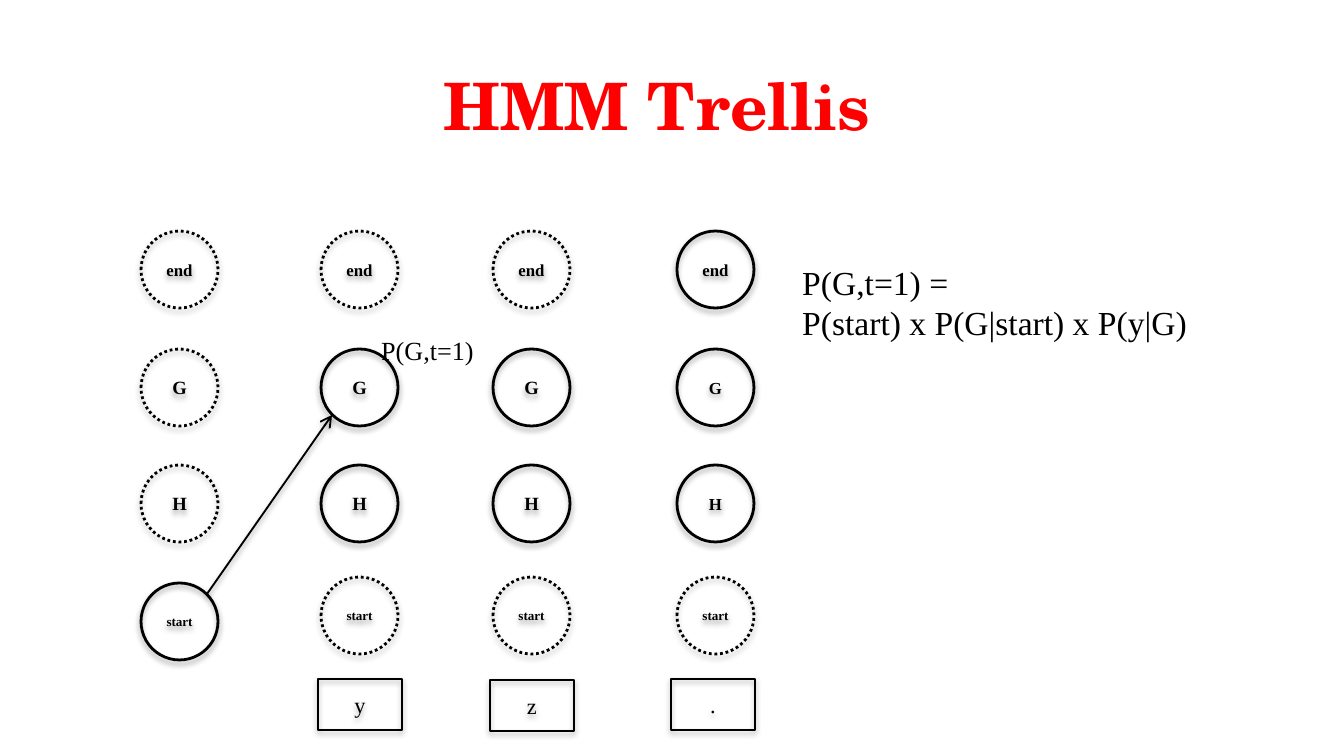
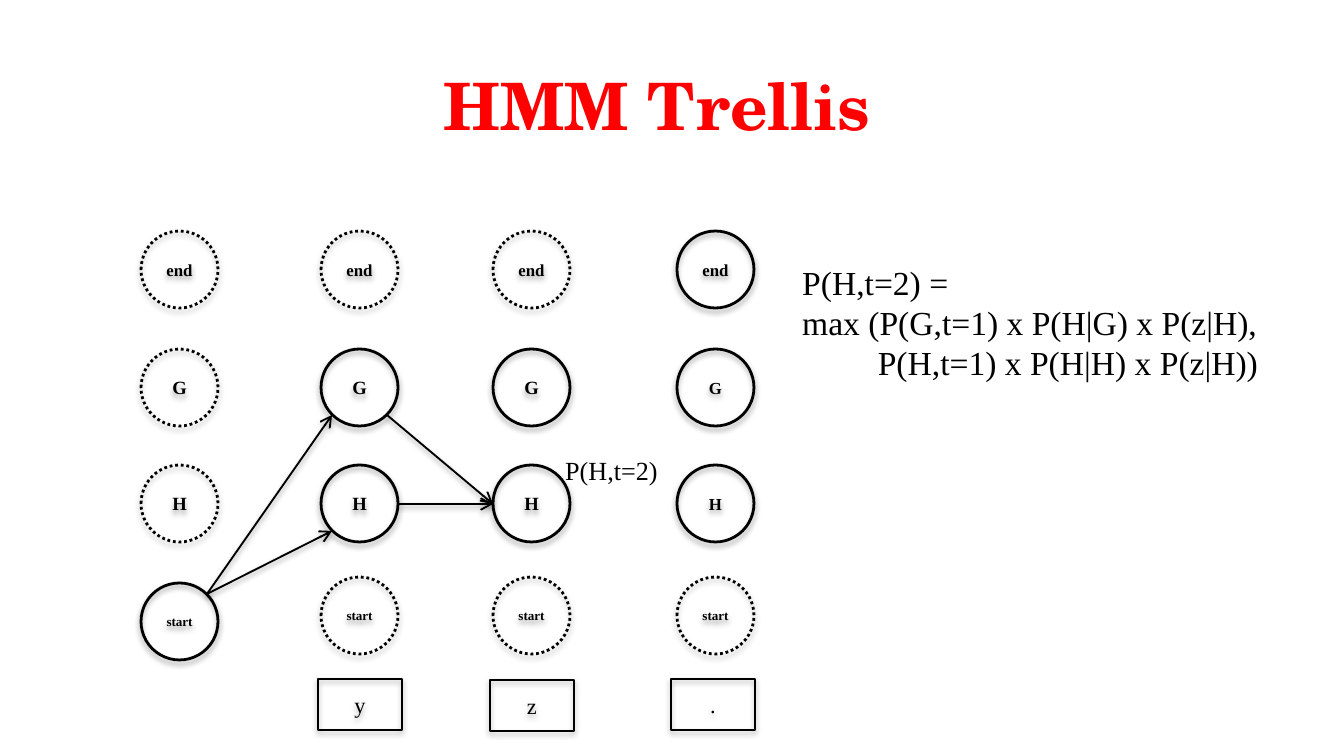
from math import cos, radians, sin

from lxml.etree import SubElement
from pptx import Presentation
from pptx.dml.color import RGBColor
from pptx.enum.dml import MSO_LINE_DASH_STYLE as Dash
from pptx.enum.shapes import MSO_CONNECTOR as Connector, MSO_SHAPE as Shape
from pptx.enum.text import MSO_ANCHOR as Anchor, MSO_AUTO_SIZE as AutoSize, PP_ALIGN as Align
from pptx.oxml.ns import qn
from pptx.util import Emu, Pt

# Colours, fonts and scale
BLACK = RGBColor(0x00, 0x00, 0x00)
RED = RGBColor(0xFF, 0x00, 0x00)
TITLE_FONT = "TeX Gyre Schola"
BODY_FONT = "Times New Roman"
EMU_PER_PIXEL = 914400 / 134.4

# Trellis grid: left edges of the time steps, top edges of the states
COLUMNS = (141, 321, 493, 677)
ROWS = {"end": 231, "G": 349, "H": 465, "start": 577}
FIRST_START_TOP = 583
DIAMETER = 77
SIZES = {"end": 9, "G": 10, "H": 10, "start": 7}
SOLID = ({"start"}, {"G", "H"}, {"G", "H"}, {"end", "G", "H"})
OUTPUTS = (("y", 318, 679), ("z", 490, 680), (".", 671, 679))


def px(value):
    return Emu(round(value * EMU_PER_PIXEL))


def node_top(step, state):
    return FIRST_START_TOP if (step, state) == (0, "start") else ROWS[state]


def node_point(step, state, angle):
    """Point on the rim of a node; the angle runs clockwise from the right."""
    radius = DIAMETER / 2
    return (round(COLUMNS[step] + radius + radius * cos(radians(angle))),
            round(node_top(step, state) + radius + radius * sin(radians(angle))))


class TrellisDeck:
    def __init__(self):
        self.presentation = Presentation()
        self.presentation.slide_width = px(1344)
        self.presentation.slide_height = px(756)
        self.slide = None

    def add_slide(self, title):
        layout = self.presentation.slide_layouts[5]
        self.slide = self.presentation.slides.add_slide(layout)
        shape = self.slide.shapes.title
        bounds = {"left": 38, "top": 58, "width": 1239, "height": 103}
        for name, value in bounds.items():
            setattr(shape, name, px(value))
        shape.text_frame.vertical_anchor = Anchor.TOP
        self.set_text(shape, title, 35, Align.CENTER, name=TITLE_FONT, bold=True, color=RED)

    def set_text(self, shape, text, size, align, color=BLACK, **extra):
        shape.text_frame.text = text
        font_values = {"name": BODY_FONT, "size": Pt(size), "bold": False, **extra}
        for paragraph in shape.text_frame.paragraphs:
            paragraph.alignment = align
            for run in paragraph.runs:
                for name, value in font_values.items():
                    setattr(run.font, name, value)
                run.font.color.rgb = color

    def outline(self, shape, width, dash=None):
        shape.line.color.rgb = BLACK
        shape.line.width = Pt(width)
        if dash:
            shape.line.dash_style = dash

    def add_shadow(self, shape, distance, opacity):
        effects = SubElement(shape._element.spPr, qn("a:effectLst"))
        shadow = SubElement(effects, qn("a:outerShdw"), blurRad=str(Pt(3.1)),
                            dist=str(Pt(distance)), dir="5400000", rotWithShape="0")
        color = SubElement(shadow, qn("a:srgbClr"), val="000000")
        SubElement(color, qn("a:alpha"), val=str(opacity * 1000))

    def add_cell(self, group, kind, bounds, text, size, line_width, dash=None, bold=False):
        shape = group.shapes.add_shape(kind, *map(px, bounds))
        shape.fill.background()
        self.outline(shape, line_width, dash)
        self.add_shadow(shape, 1.8, 35)
        shape.text_frame.word_wrap = False
        shape.text_frame.vertical_anchor = Anchor.MIDDLE
        self.set_text(shape, text, size, Align.CENTER, bold=bold)

    def add_trellis(self):
        nodes = self.slide.shapes.add_group_shape()
        for step, left in enumerate(COLUMNS):
            for state in ROWS:
                last = step == len(COLUMNS) - 1
                size = min(SIZES[state], 9) if last else SIZES[state]
                dash = None if state in SOLID[step] else Dash.ROUND_DOT
                self.add_cell(nodes, Shape.OVAL,
                              (left, node_top(step, state), DIAMETER, DIAMETER),
                              state, size, 1.5, dash, bold=True)
        outputs = self.slide.shapes.add_group_shape()
        for text, left, top in OUTPUTS:
            self.add_cell(outputs, Shape.RECTANGLE, (left, top, 84, 51), text, 12, 1)

    def add_arrow(self, start, end):
        points = node_point(*start) + node_point(*end)
        arrow = self.slide.shapes.add_connector(Connector.STRAIGHT, *map(px, points))
        self.outline(arrow, 1)
        SubElement(arrow.line._get_or_add_ln(), qn("a:tailEnd"), type="arrow")
        self.add_shadow(arrow, 1.6, 38)

    def add_text(self, bounds, text, size, wrap):
        shape = self.slide.shapes.add_textbox(*map(px, bounds))
        frame_values = {"word_wrap": wrap, "auto_size": AutoSize.SHAPE_TO_FIT_TEXT}
        for name, value in frame_values.items():
            setattr(shape.text_frame, name, value)
        self.set_text(shape, text, size, Align.LEFT)
        # Tab stops every half inch
        for paragraph in shape.text_frame.paragraphs:
            paragraph._p.get_or_add_pPr().set("defTabSz", "457200")


# Each slide: arrows, label beside a node, formula
START = (0, "start", -45)
TO_G = (START, (1, "G", 135))
TO_H = (START, (1, "H", 135))
STEPS = (
    {"arrows": (TO_G,),
     "label": ((368, 328, 120, 46), "P(G,t=1)"),
     "formula": ((789, 255, 513, 95), "P(G,t=1) = \vP(start) x P(G|start) x P(y|G)")},
    {"arrows": (TO_H, ((1, "H", 0), (2, "H", 180)),
                TO_G, ((1, "G", 45), (2, "H", 180))),
     "label": ((552, 448, 120, 46), "P(H,t=2)"),
     "formula": ((789, 255, 513, 136),
                 "P(H,t=2) = \vmax (P(G,t=1) x P(H|G) x P(z|H),\n"
                 "\t P(H,t=1) x P(H|H) x P(z|H))")},
)

deck = TrellisDeck()
for step in STEPS:
    deck.add_slide("HMM Trellis")
    deck.add_trellis()
    for start, end in step["arrows"]:
        deck.add_arrow(start, end)
    deck.add_text(*step["label"], 14, wrap=False)
    deck.add_text(*step["formula"], 18, wrap=True)

deck.presentation.save("out.pptx")
